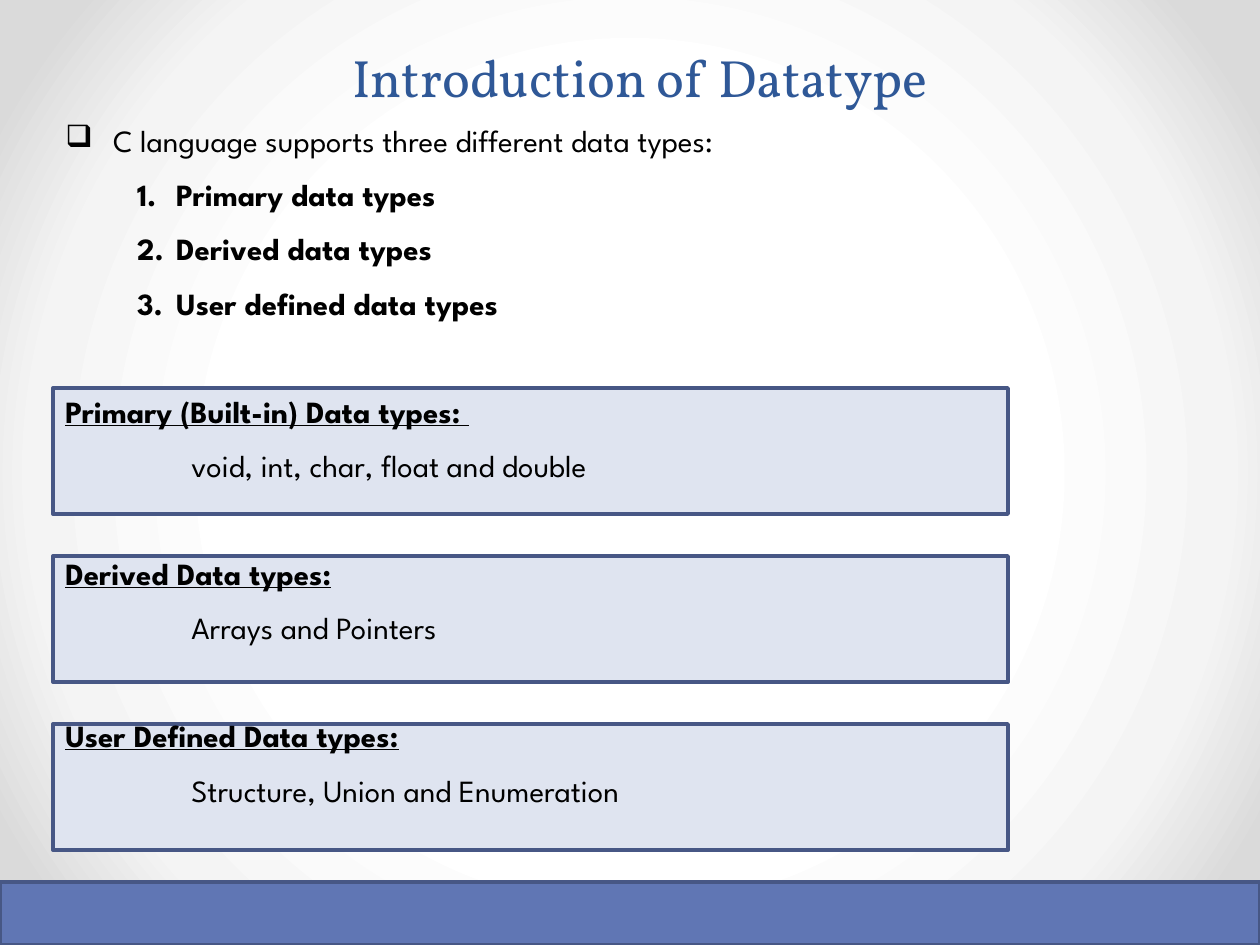
from dataclasses import dataclass

from lxml import etree
from pptx import Presentation
from pptx.dml.color import RGBColor
from pptx.enum.shapes import MSO_SHAPE
from pptx.enum.text import MSO_ANCHOR, PP_ALIGN
from pptx.oxml import parse_xml
from pptx.oxml.ns import nsdecls, qn
from pptx.util import Inches, Pt

RECTANGLE = MSO_SHAPE.RECTANGLE
MIDDLE = MSO_ANCHOR.MIDDLE
CENTER, JUSTIFY = PP_ALIGN.CENTER, PP_ALIGN.JUSTIFY
TITLE_ONLY = 5


@dataclass(frozen=True)
class Theme:
    title_font: str = "Vollkorn"
    body_font: str = "League Spartan"
    title_size: float = 30
    body_size: float = 17.6
    title_color: str = "2F5897"
    text_color: str = "000000"
    panel_fill: str = "DFE4F0"
    bar_fill: str = "6076B4"
    border: str = "475785"
    border_width: float = 2.25
    background: tuple = ((50, "FFFFFF"), (76, "F4F4F4"), (92, "DADADA"))
    line_spacing: float = 1.3
    paragraph_gap: float = 3.5
    section_gap: float = 34.4


class SlideBuilder:
    def __init__(self, page, theme):
        self.page = page
        self.theme = theme

    def background(self):
        """Fill the page with a circular gradient from its centre."""
        stops = "".join(
            f'<a:gs pos="{percent * 1000}"><a:srgbClr val="{color}"/></a:gs>'
            for percent, color in self.theme.background)
        gradient = parse_xml(
            f'<a:gradFill {nsdecls("a")} rotWithShape="1"><a:gsLst>{stops}</a:gsLst>'
            '<a:path path="circle"><a:fillToRect l="50000" t="50000" r="50000" b="50000"/>'
            '</a:path></a:gradFill>')
        fill = self.page.background.fill
        fill.solid()
        solid = self.page.element.find(".//" + qn("p:bgPr")).find(qn("a:solidFill"))
        solid.getparent().replace(solid, gradient)

    def rectangle(self, left, top, width, height, color):
        shape = self.page.shapes.add_shape(
            RECTANGLE, Inches(left), Inches(top), Inches(width), Inches(height))
        shape.shadow.inherit = False
        shape.fill.solid()
        shape.fill.fore_color.rgb = RGBColor.from_string(color)
        shape.line.color.rgb = RGBColor.from_string(self.theme.border)
        shape.line.width = Pt(self.theme.border_width)

    def span(self, para, text, font, size, color, bold=False, underline=False):
        span = para.add_run()
        span.text = text
        span.font.name = font
        span.font.size = Pt(size)
        span.font.bold = bold
        span.font.underline = underline
        span.font.color.rgb = RGBColor.from_string(color)

    def title(self, text, left, top, width, height):
        box = self.page.shapes.title
        box.left, box.top = Inches(left), Inches(top)
        box.width, box.height = Inches(width), Inches(height)
        box.text_frame.vertical_anchor = MIDDLE
        para = box.text_frame.paragraphs[0]
        para.alignment = CENTER
        para.line_spacing = Pt(58)
        self.span(para, text, self.theme.title_font, self.theme.title_size,
                  self.theme.title_color)

    def text_box(self, left, top, width, height):
        box = self.page.shapes.add_textbox(
            Inches(left), Inches(top), Inches(width), Inches(height))
        box.text_frame.word_wrap = True
        return box.text_frame

    def paragraph(self, frame, text, margin=0, hanging=0, bullet=None,
                  gap=None, bold=False, underline=False):
        """Add a body paragraph; bullet is a (tag, attributes) pair."""
        para = frame.paragraphs[0]
        if para.runs:
            para = frame.add_paragraph()
            para.space_before = Pt(gap or self.theme.paragraph_gap)
        properties = para._p.get_or_add_pPr()
        properties.set("marL", str(Inches(margin)))
        properties.set("indent", str(-Inches(hanging)))
        tag, attributes = bullet or ("a:buNone", {})
        etree.SubElement(properties, qn(tag), attributes)
        para.alignment = JUSTIFY
        para.line_spacing = self.theme.line_spacing
        self.span(para, text, self.theme.body_font, self.theme.body_size,
                  self.theme.text_color, bold, underline)


def main():
    deck = Presentation()
    deck.slide_width, deck.slide_height = Inches(10), Inches(7.5)
    theme = Theme()
    builder = SlideBuilder(deck.slides.add_slide(deck.slide_layouts[TITLE_ONLY]), theme)
    builder.background()

    data_types = ["Primary data types", "Derived data types", "User defined data types"]
    sections = [
        ("Primary (Built-in) Data types: ", "void, int, char, float and double"),
        ("Derived Data types:", "Arrays and Pointers"),
        ("User Defined Data types:", "Structure, Union and Enumeration"),
    ]
    for index in range(len(sections)):
        builder.rectangle(0.42, 3.08 + index * 4 / 3, 7.58, 1, theme.panel_fill)

    builder.title("Introduction of Datatype", 0.58, 0.08, 9, 0.75)

    body = builder.text_box(0.42, 0.83, 9.08, 5.92)
    builder.paragraph(body, "C language supports three different data types:",
                      margin=0.38, hanging=0.38, bullet=("a:buChar", {"char": "❑"}))
    for name in data_types:
        builder.paragraph(body, name, margin=0.88, hanging=0.31, bold=True,
                          bullet=("a:buAutoNum", {"type": "arabicPeriod"}))
    for heading, examples in sections:
        builder.paragraph(body, heading, gap=theme.section_gap, bold=True, underline=True)
        builder.paragraph(body, examples, margin=1)

    builder.rectangle(0, 7, 10, 0.5, theme.bar_fill)
    deck.save("out.pptx")


if __name__ == "__main__":
    main()
